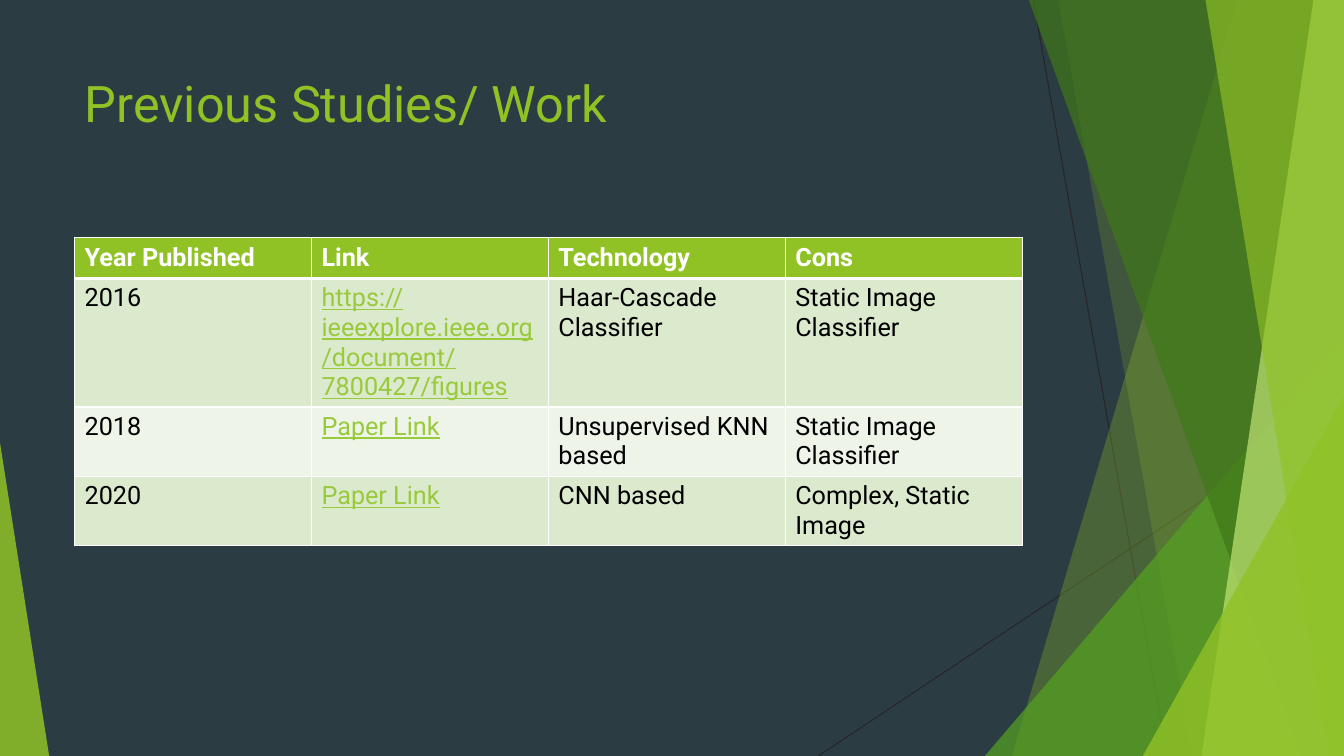
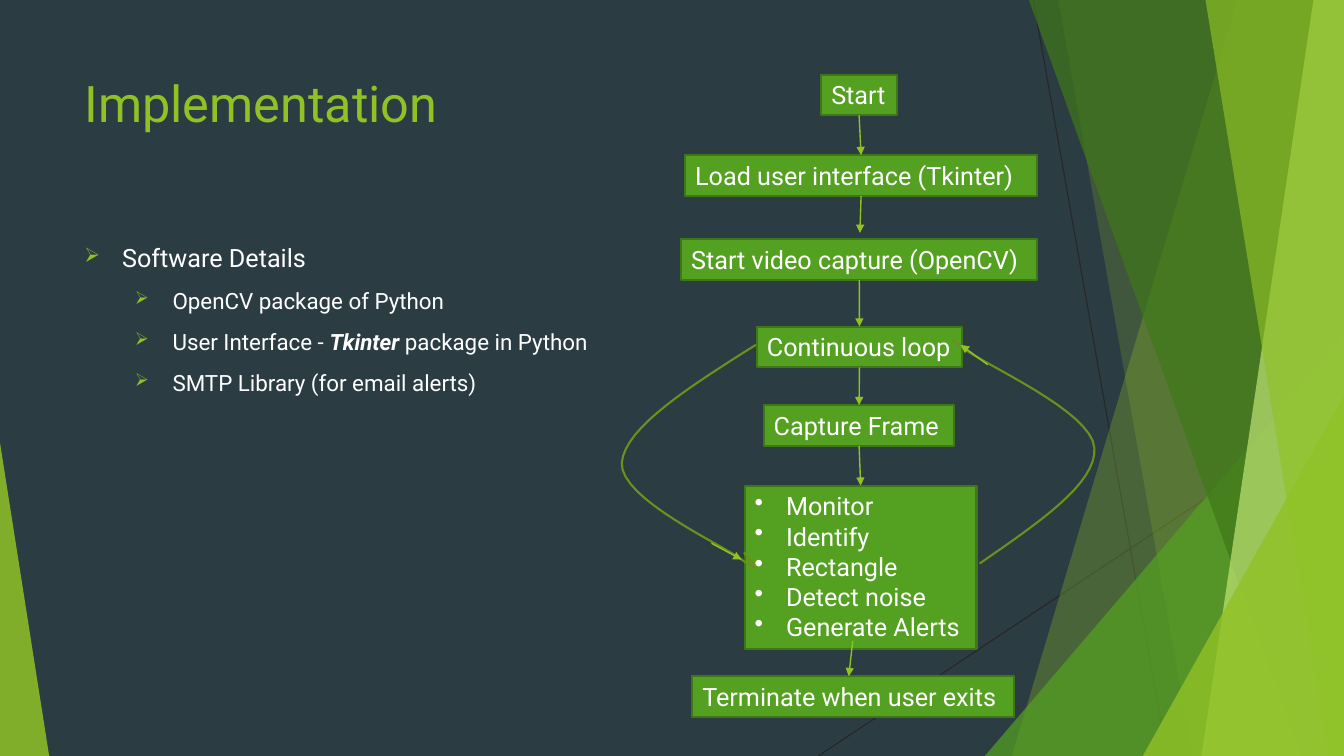
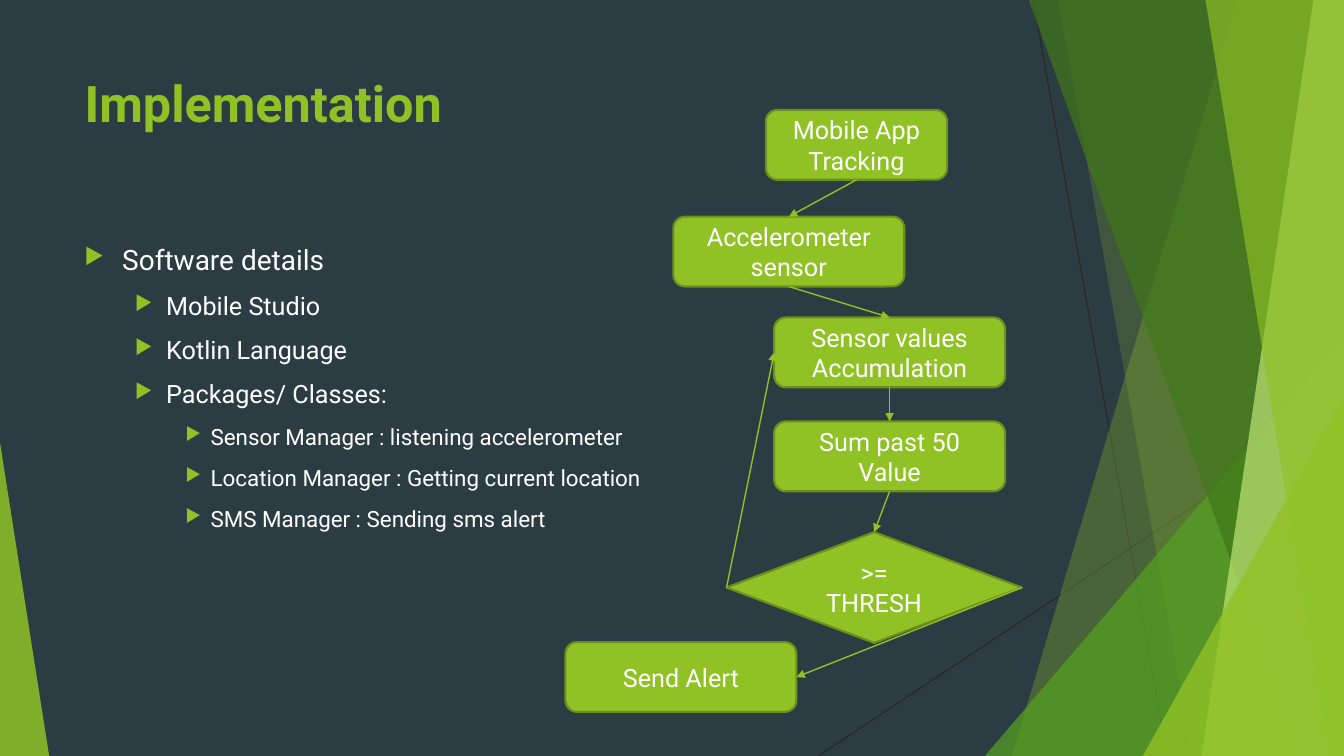
from pptx import Presentation
from pptx.dml.color import RGBColor
from pptx.enum.shapes import MSO_CONNECTOR as Wire, MSO_SHAPE as Form
from pptx.enum.text import MSO_ANCHOR as Anchor, MSO_AUTO_SIZE as Fit, PP_ALIGN as Align
from pptx.oxml.ns import qn
from pptx.util import Cm, Pt
from lxml.etree import SubElement as Sub

WIDE, HIGH = 33.87, 19.05
LEFT, SPAN = 1.88, 23.88
FONT = "Roboto"
NIGHT, WHITE, BLACK, GREY = "2C3C43", "FFFFFF", "000000", "262626"
LIME, GREEN, DEEP, PALE = "90C226", "54A021", "3F7819", "C0E474"
MOSS, PINE, LINK = "6B901C", "3E7618", "99CA3C"
BANDS = ("DBE9CD", "EEF4E8")

# Facets: (top x, foot x) for a sheet, (left, top, width, tip) for a wedge
FACETS = [
    ((31.19, 25.5), LIME, 30),
    ((26.67, 30.05), LIME, 20),
    ((24.82, 8.46, 9.05, 1), GREEN, 72),
    ((25.93, 32.79), DEEP, 70),
    ((33.1, 30.28), PALE, 70),
    ((30.38, 33.48), LIME, 65),
    ((28.8, 9.98, 5.07, 1), LIME, 80),
    ((0, 11.15, 1.24, 0), LIME, 85),
]


def tint(code):
    return RGBColor.from_string(code)


def bend(start, curves, steps=16):
    """Points along a chain of cubic curves."""
    points = [start]
    for one, two, end in curves:
        for step in range(1, steps + 1):
            t = step / steps
            u = 1 - t
            points.append(tuple(
                u**3 * a + 3 * u * u * t * b + 3 * u * t * t * c + t**3 * d
                for a, b, c, d in zip(start, one, two, end)))
        start = end
    return points


class Deck:
    def __init__(self):
        self.show = Presentation()
        self.show.slide_width, self.show.slide_height = Cm(WIDE), Cm(HIGH)
        back = self.show.slide_master.background.fill
        back.solid()
        back.fore_color.rgb = tint(NIGHT)

    # Slide with facets and title
    def page(self, title, bold=False):
        self.slide = self.show.slides.add_slide(self.show.slide_layouts[5])
        self.shapes = self.slide.shapes
        self.wire((26.04, 0), (29.41, HIGH), GREY, 0.75, False)
        self.wire((WIDE, 10.24), (20.62, HIGH), GREY, 0.75, False)
        for place, color, alpha in FACETS:
            if len(place) == 2:
                top, foot = place
                facet = self.trace([(top, 0), (WIDE, 0), (WIDE, HIGH), (foot, HIGH)], True)
            else:
                left, top, width, tip = place
                facet = self.form(Form.ISOSCELES_TRIANGLE, left, top, width, HIGH - top)
                facet.adjustments[0] = tip
            self.paint(facet, color, alpha=alpha)
        head = self.shapes.title
        head.left, head.top, head.width, head.height = map(Cm, (LEFT, 1.7, SPAN, 3.66))
        frame = head.text_frame
        frame.text = title
        frame.auto_size = Fit.NONE
        frame.vertical_anchor = Anchor.TOP
        self.dress(frame.paragraphs[0], 36, LIME, bold)
        frame.paragraphs[0].alignment = Align.LEFT

    def dress(self, par, size, color=WHITE, bold=False):
        for run in par.runs:
            font = run.font
            font.name, font.size, font.bold = FONT, Pt(size), bold
            font.color.rgb = tint(color)

    def paint(self, shape, fill=None, line=None, alpha=None):
        shape.shadow.inherit = False
        if fill:
            shape.fill.solid()
            shape.fill.fore_color.rgb = tint(fill)
        else:
            shape.fill.background()
        if line:
            shape.line.color.rgb = tint(line)
            shape.line.width = Pt(1.5)
        else:
            shape.line.fill.background()
        if alpha:
            code = shape.fill._xPr.find(qn("a:solidFill"))[0]
            Sub(code, qn("a:alpha"), val=str(alpha * 1000))

    def form(self, kind, *place):
        return self.shapes.add_shape(kind, *map(Cm, place))

    # Outline through points
    def trace(self, points, close=False):
        spots = [(Cm(x), Cm(y)) for x, y in points]
        pen = self.shapes.build_freeform(*spots[0])
        pen.add_line_segments(spots[1:], close=close)
        return pen.convert_to_shape()

    # Straight line; an end is a point or a pair of shape and site
    def wire(self, start, end, color=LIME, width=1, arrow=True):
        ends = [isinstance(e[0], (int, float)) for e in (start, end)]
        a = start if ends[0] else (0, 0)
        b = end if ends[1] else (0, 0)
        line = self.shapes.add_connector(Wire.STRAIGHT, *map(Cm, (*a, *b)))
        if not ends[0]:
            line.begin_connect(*start)
        if not ends[1]:
            line.end_connect(*end)
        line.line.color.rgb = tint(color)
        line.line.width = Pt(width)
        if arrow:
            Sub(line.line._get_or_add_ln(), qn("a:tailEnd"), type="triangle")
        Sub(line._element.spPr, qn("a:effectLst"))

    def mark(self, par, sign, left, hang, color=None):
        props = par._p.get_or_add_pPr()
        props.set("marL", str(Cm(left)))
        props.set("indent", str(-Cm(hang)))
        if color:
            Sub(Sub(props, qn("a:buClr")), qn("a:srgbClr"), val=color)
            Sub(props, qn("a:buSzPct"), val="80000")
        Sub(props, qn("a:buChar"), char=sign)

    # Bullet list; text between stars is strong
    def list(self, width, height, sign, levels, items):
        box = self.shapes.add_textbox(*map(Cm, (LEFT, 5.99, width, height)))
        frame = box.text_frame
        frame.word_wrap = True
        for i, (level, text) in enumerate(items):
            par = frame.add_paragraph() if i else frame.paragraphs[0]
            left, hang, size = levels[level]
            par.level = level
            self.mark(par, sign, left, hang, LIME)
            if i:
                par.space_before = Pt(10)
            for part in text.split("*"):
                par.add_run().text = part
            self.dress(par, size)
            for run in par.runs[1::2]:
                run.font.bold = run.font.italic = True

    # Flow box that hugs its text
    def step(self, text, left, top, width, height=1.03):
        box = self.form(Form.RECTANGLE, left, top, width, height)
        self.paint(box, GREEN, PINE)
        frame = box.text_frame
        frame.text = text
        frame.word_wrap = False
        frame.auto_size = Fit.SHAPE_TO_FIT_TEXT
        frame.vertical_anchor = Anchor.TOP
        many = len(frame.paragraphs) > 1
        for par in frame.paragraphs:
            par.alignment = Align.LEFT
            if many:
                self.mark(par, "•", 0.79, 0.79)
            self.dress(par, 18)
        return box

    # Flow node with centred text
    def node(self, text, left, top, width=5.82, height=1.76, kind=Form.ROUNDED_RECTANGLE):
        box = self.form(kind, left, top, width, height)
        self.paint(box, LIME, MOSS)
        frame = box.text_frame
        frame.text = text
        frame.word_wrap = True
        frame.vertical_anchor = Anchor.MIDDLE
        for par in frame.paragraphs:
            par.alignment = Align.CENTER
            self.dress(par, 18)
        return box

    def edge(self, cell, top, foot):
        props = cell._tc.get_or_add_tcPr()
        for i, (side, width) in enumerate(zip("LRTB", (1, 1, top, foot))):
            line = Sub(props, qn("a:ln" + side), w=str(Pt(width)))
            Sub(Sub(line, qn("a:solidFill")), qn("a:srgbClr"), val=WHITE)
            props.insert(i, line)

    def table(self, rows, heights):
        grid = self.shapes.add_table(len(rows), len(rows[0]), *map(
            Cm, (LEFT, 5.99, SPAN, sum(heights)))).table
        for r, row in enumerate(rows):
            grid.rows[r].height = Cm(heights[r])
            for c, text in enumerate(row):
                cell = grid.cell(r, c)
                cell.text = text
                cell.fill.solid()
                cell.fill.fore_color.rgb = tint(BANDS[(r - 1) % 2] if r else LIME)
                self.edge(cell, 3 if r == 1 else 1, 1 if r else 3)
                par = cell.text_frame.paragraphs[0]
                link = r > 0 and c == 1
                self.dress(par, 18, LINK if link else BLACK if r else WHITE, r == 0)
                par.runs[0].font.underline = link


def main():
    deck = Deck()

    # Past work
    deck.page("Previous Studies/ Work")
    deck.table([
        ("Year Published", "Link", "Technology", "Cons"),
        ("2016", "https://ieeexplore.ieee.org/document/7800427/figures",
         "Haar-Cascade Classifier", "Static Image Classifier"),
        ("2018", "Paper Link", "Unsupervised KNN based", "Static Image Classifier"),
        ("2020", "Paper Link", "CNN based", "Complex, Static Image"),
    ], (1.03, 3.23, 1.75, 1.75))

    # Video flow
    deck.page("Implementation")
    deck.list(15.06, 10.77, "➢", [(0.95, 0.95, 18), (2.22, 0.95, 16)], [
        (0, "Software Details"),
        (1, "OpenCV package of Python"),
        (1, "User Interface - *Tkinter *package in Python"),
        (1, "SMTP Library (for email alerts)"),
    ])
    start = deck.step("Start", 20.7, 1.88, 1.9)
    load = deck.step("Load user interface (Tkinter)", 17.27, 3.91, 8.86)
    video = deck.step("Start video capture (OpenCV)", 17.17, 6.02, 8.97)
    loop = deck.step("Continuous loop", 19.08, 8.23, 5.16)
    frame = deck.step("Capture Frame", 19.25, 10.21, 4.8)
    tasks = deck.step("Monitor\nIdentify\nRectangle\nDetect noise\nGenerate Alerts",
                      18.77, 12.24, 5.84, 4.12)
    deck.step("Terminate when user exits", 17.45, 17.04, 8.1)
    for a, b in ((start, load), (video, loop), (loop, frame), (frame, tasks)):
        deck.wire((a, 2), (b, 0))
    deck.wire((load, 2), (21.67, 5.87))
    deck.wire((21.49, 16.15), (21.39, 17.04))

    # Loop curves
    down = bend((19.05, 8.69), [
        ((17.4, 9.73), (15.75, 10.77), (15.67, 11.66)),
        ((15.62, 12.57), (18.19, 13.72), (18.69, 14.1)),
        ((19.2, 14.48), (18.97, 14.2), (18.75, 13.92))])
    back = bend((24.69, 14.2), [
        ((26.16, 13.18), (27.66, 12.17), (27.58, 11.28)),
        ((27.51, 10.36), (24.79, 9.19), (24.26, 8.76)),
        ((23.7, 8.36), (24.28, 8.79), (24.28, 8.76))])
    for curve, tail, tip in ((down, (17.93, 13.69), (18.69, 14.1)),
                             (back, (24.89, 9.19), (24.21, 8.69))):
        deck.paint(deck.trace(curve), line=MOSS)
        deck.wire(tail, tip)

    # Phone flow
    deck.page("Implementation", bold=True)
    deck.list(16.81, 9.83, "▶", [(0.95, 0.95, 20), (2.06, 0.79, 18), (3.18, 0.64, 16)], [
        (0, "Software details"),
        (1, "Mobile Studio"),
        (1, "Kotlin Language"),
        (1, "Packages/ Classes:"),
        (2, "Sensor Manager : listening accelerometer"),
        (2, "Location Manager : Getting current location"),
        (2, "SMS Manager : Sending sms alert"),
    ])
    phone = deck.node("Mobile App Tracking", 19.3, 2.77, 4.57)
    sensor = deck.node("Accelerometer sensor", 16.97, 5.46)
    values = deck.node("Sensor values\nAccumulation", 19.51, 8)
    total = deck.node("Sum past 50 Value", 19.51, 10.62)
    alert = deck.node("Send Alert", 14.25, 16.18)
    test = deck.node(">= THRESH", 18.31, 13.41, 7.44, 2.79, Form.DIAMOND)
    for a, b in ((phone, sensor), (sensor, values), (values, total), (total, test)):
        deck.wire((a, 2), (b, 0))
    deck.wire((test, 1), (values, 1))
    deck.wire((test, 3), (alert, 3))

    deck.show.save("out.pptx")


if __name__ == "__main__":
    main()
